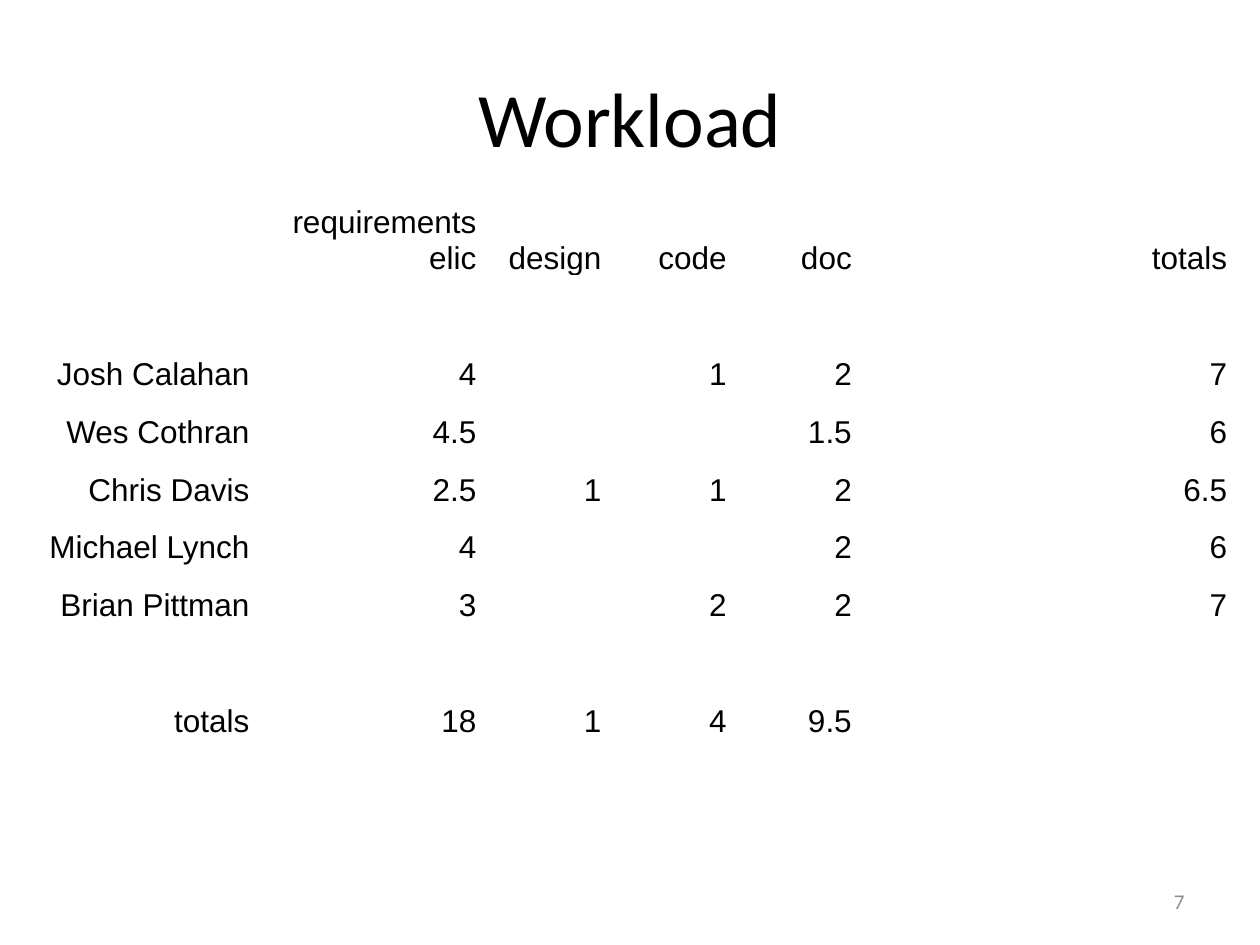
from typing import NamedTuple

from pptx import Presentation
from pptx.dml.color import RGBColor
from pptx.enum.text import MSO_ANCHOR, PP_ALIGN
from pptx.util import Inches, Pt

BLACK, GRAY = "000000", "8C8C8C"
TABLE_LEFT, TABLE_TOP, TABLE_WIDTH = 0.33, 1.58, 9.42
NAME_WIDTH, ELICITATION_WIDTH, ROW_HEIGHT = 1.66, 1.8, 0.46
COLUMN_COUNT = 8


class WorkloadRow(NamedTuple):
    label: str = ""
    requirements: str = ""
    design: str = ""
    code: str = ""
    doc: str = ""
    total: str = ""

    def cells(self) -> list[str]:
        """The row's texts, with two spare columns before the total."""
        return [*self[:-1], "", "", self.total]


WORKLOAD = [
    WorkloadRow("", "requirements elic", "design", "code", "doc", "totals"),
    WorkloadRow(),
    WorkloadRow("Josh Calahan", "4", "", "1", "2", "7"),
    WorkloadRow("Wes Cothran", "4.5", "", "", "1.5", "6"),
    WorkloadRow("Chris Davis", "2.5", "1", "1", "2", "6.5"),
    WorkloadRow("Michael Lynch", "4", "", "", "2", "6"),
    WorkloadRow("Brian Pittman", "3", "", "2", "2", "7"),
    WorkloadRow(),
    WorkloadRow("totals", "18", "1", "4", "9.5"),
]


def color(value: str) -> RGBColor:
    return RGBColor.from_string(value)


def format_paragraph(para, font: str, size: float, ink: str, align) -> None:
    para.alignment = align
    para.font.name = font
    para.font.size = Pt(size)
    para.font.color.rgb = color(ink)


def place(shape, left: float, top: float, width: float, height: float) -> None:
    shape.left, shape.top = Inches(left), Inches(top)
    shape.width, shape.height = Inches(width), Inches(height)


def add_title(page, text: str) -> None:
    title = page.shapes.title
    place(title, 0.5, 0.3, 9, 1.25)
    title.text_frame.text = text
    title.text_frame.vertical_anchor = MSO_ANCHOR.MIDDLE
    format_paragraph(title.text_frame.paragraphs[0], "Calibri", 44, BLACK, PP_ALIGN.CENTER)


def add_page_number(page, number: int) -> None:
    box = page.shapes.add_textbox(Inches(7.17), Inches(6.95), Inches(2.33), Inches(0.4))
    frame = box.text_frame
    frame.word_wrap = True
    frame.vertical_anchor = MSO_ANCHOR.MIDDLE
    frame.text = str(number)
    format_paragraph(frame.paragraphs[0], "Calibri", 12, GRAY, PP_ALIGN.RIGHT)


def fill_cell(cell, text: str) -> None:
    cell.fill.background()
    cell.vertical_anchor = MSO_ANCHOR.BOTTOM
    cell.margin_left = cell.margin_right = cell.margin_top = Inches(0.01)
    cell.margin_bottom = 0
    cell.text = text
    format_paragraph(cell.text_frame.paragraphs[0], "Arial", 18, BLACK, PP_ALIGN.RIGHT)


def add_workload_table(page, rows: list[WorkloadRow]) -> None:
    table = page.shapes.add_table(
        len(rows), COLUMN_COUNT, Inches(TABLE_LEFT), Inches(TABLE_TOP),
        Inches(TABLE_WIDTH), Inches(ROW_HEIGHT * len(rows))).table
    table.first_row = table.horz_banding = False
    first_widths = [NAME_WIDTH, ELICITATION_WIDTH]
    task_count = COLUMN_COUNT - len(first_widths)
    task_width = (TABLE_WIDTH - sum(first_widths)) / task_count
    for column, width in zip(table.columns, first_widths + [task_width] * task_count):
        column.width = Inches(width)
    for table_row, row in zip(table.rows, rows):
        table_row.height = Inches(ROW_HEIGHT)
        for cell, text in zip(table_row.cells, row.cells()):
            fill_cell(cell, text)


def main() -> None:
    deck = Presentation()
    deck.slide_width, deck.slide_height = Inches(10), Inches(7.5)
    page = deck.slides.add_slide(deck.slide_layouts.get_by_name("Title Only"))
    add_title(page, "Workload")
    add_page_number(page, 7)
    add_workload_table(page, WORKLOAD)
    deck.save("out.pptx")


if __name__ == "__main__":
    main()
